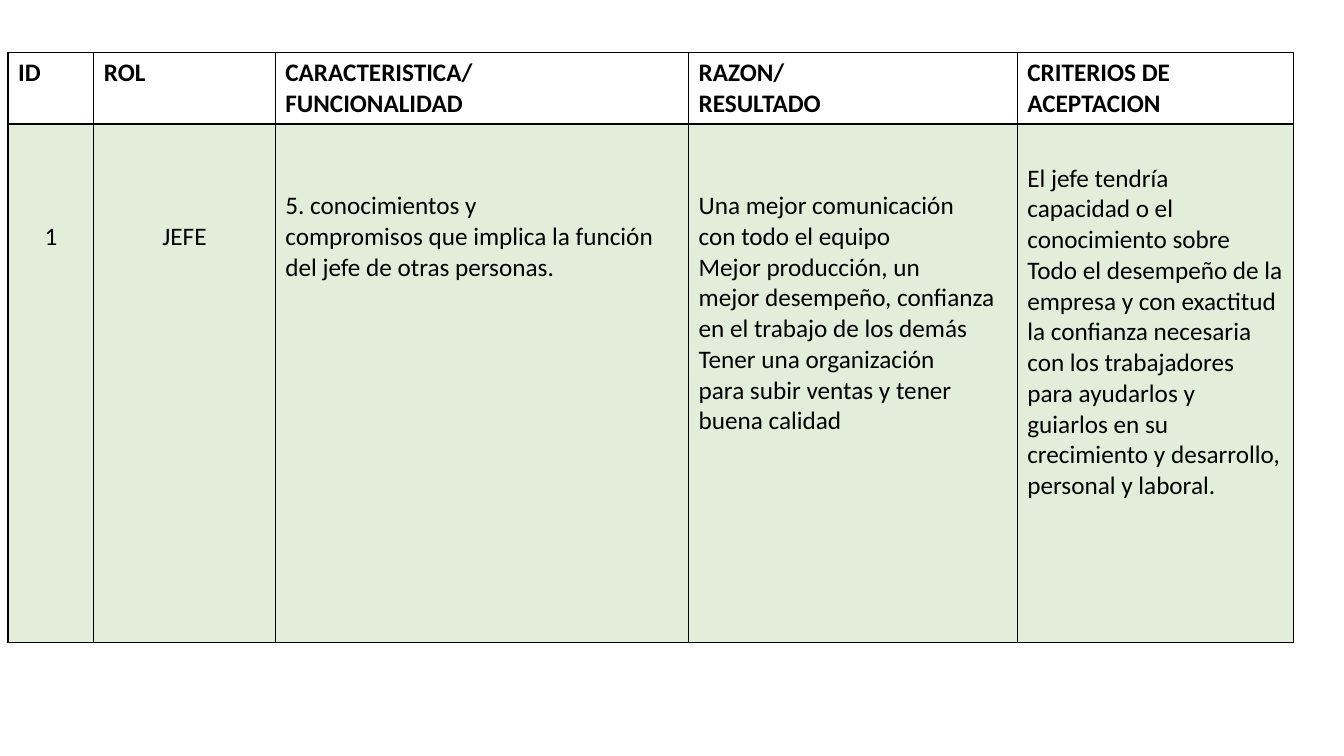
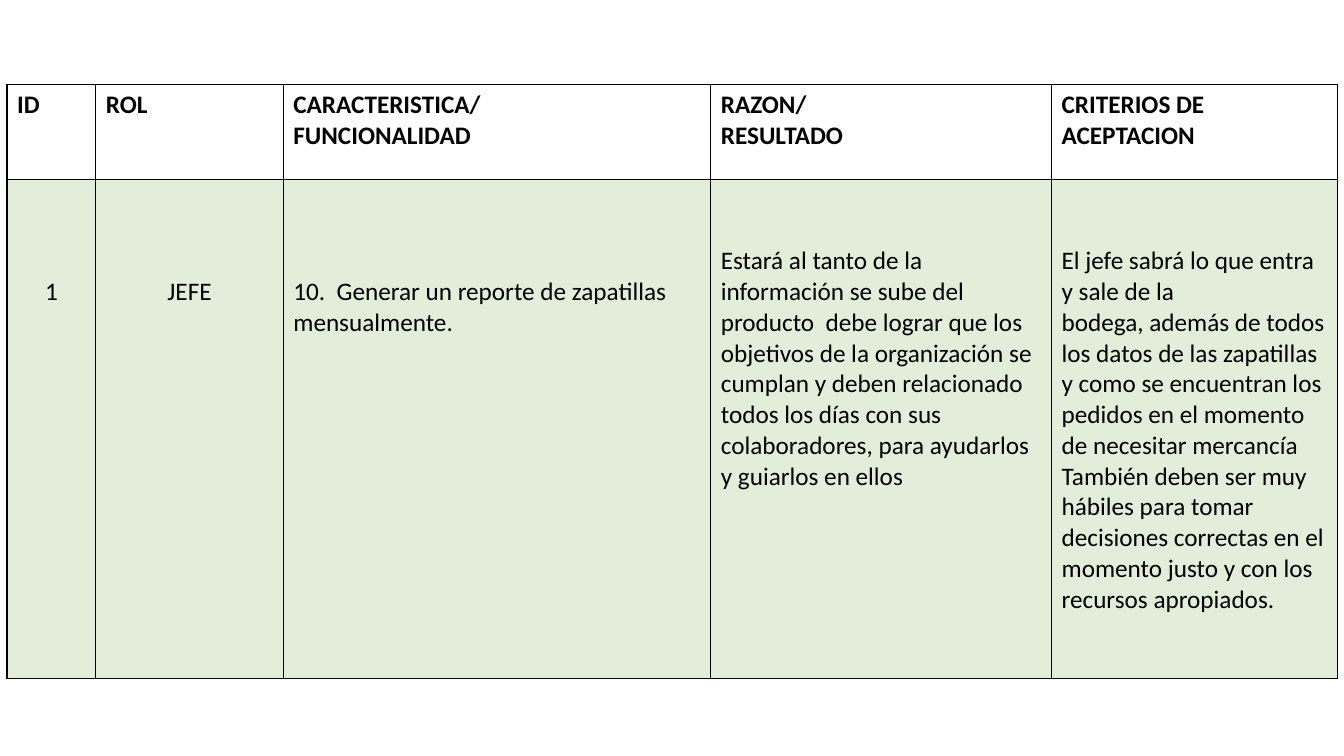
from pptx import Presentation
from pptx.dml.color import RGBColor
from pptx.enum.text import PP_ALIGN
from pptx.oxml.ns import qn
from pptx.util import Inches, Pt
from lxml.etree import SubElement

COLORS = {"ink": "000000", "green": "70AD47"}
FONT = "Calibri"
SIZE = 18
LINE = 0.305  # height of one text line, inches
PAD = 0.05
TINT = 20  # opacity of the body cells, percent
BLANK = 6
TIE = "~"  # stands for a space at which no line may break
HARD = chr(160)

HEADS = [
    ["ID"],
    ["ROL"],
    ["CARACTERISTICA/", "FUNCIONALIDAD"],
    ["RAZON/", "RESULTADO"],
    ["CRITERIOS DE ACEPTACION"],
]

# Each body cell: lines of space above the text, then its paragraphs
ROLE = [(3, ["1"]), (3, ["JEFE"])]
STORIES = [
    {
        "left": 0.08, "top": 0.52,
        "cols": [0.85, 1.8, 4.1, 3.26, 2.74],
        "rows": [0.69, 5.14],
        "body": ROLE + [
            (2, ["5. conocimientos y compromisos~que~implica la función "
                 "del jefe de~otras~personas."]),
            (2, ["Una mejor comunicación con~todo el equipo",
                 "Mejor producción, un mejor~desempeño, confianza en "
                 "el~trabajo de los demás",
                 "Tener una organización para~subir ventas y tener "
                 "buena~calidad"]),
            (1.11, ["El jefe tendría capacidad~o el conocimiento sobre",
                    "Todo el desempeño de~la empresa y con~exactitud "
                    "la confianza~necesaria con los~trabajadores",
                    "para ayudarlos y guiarlos~en su crecimiento "
                    "y~desarrollo, personal y~laboral."]),
        ],
    },
    {
        "left": 0.07, "top": 0.84,
        "cols": [0.88, 1.86, 4.24, 3.38, 2.84],
        "rows": [0.94, 4.95],
        "body": ROLE + [
            (3, ["10.~ Generar un reporte de zapatillas mensualmente."]),
            (2, ["Estará al tanto de la información se sube del "
                 "producto~~debe lograr que los objetivos de la "
                 "organización se cumplan y deben relacionado todos los "
                 "días con sus colaboradores, para ayudarlos y guiarlos "
                 "en ellos"]),
            (2, ["El jefe sabrá~lo que entra y sale de la "
                 "bodega,~además de todos los datos de las zapatillas y "
                 "como se encuentran los pedidos en el momento de "
                 "necesitar mercancía",
                 "También deben ser muy hábiles para tomar decisiones "
                 "correctas en el momento justo y con los recursos "
                 "apropiados."]),
        ],
    },
]


def add_edges(cell):
    props = cell._tc.get_or_add_tcPr()
    for side in ("a:lnL", "a:lnR", "a:lnT", "a:lnB"):
        edge = SubElement(props, qn(side), w=str(Pt(1)))
        fill = SubElement(edge, qn("a:solidFill"))
        SubElement(fill, qn("a:srgbClr"), val=COLORS["ink"])


def tint_cell(cell):
    cell.fill.solid()
    cell.fill.fore_color.rgb = RGBColor.from_string(COLORS["green"])
    fill = cell._tc.tcPr.find(qn("a:solidFill"))
    SubElement(fill[0], qn("a:alpha"), val=str(TINT * 1000))


def write_cell(cell, texts, bold=False, align=PP_ALIGN.LEFT, gap=0):
    """Fill a cell with paragraphs, leaving gap lines free above them."""
    cell.margin_top = Inches(PAD + gap * LINE)
    frame = cell.text_frame
    for i, text in enumerate(texts):
        para = frame.add_paragraph() if i else frame.paragraphs[0]
        para.alignment = align
        run = para.add_run()
        run.text = text.replace(TIE, HARD)
        font = run.font
        font.name, font.size, font.bold = FONT, Pt(SIZE), bold
        font.color.rgb = RGBColor.from_string(COLORS["ink"])


def add_story(slide, story):
    cols, rows = story["cols"], story["rows"]
    table = slide.shapes.add_table(
        len(rows), len(cols), Inches(story["left"]), Inches(story["top"]),
        Inches(sum(cols)), Inches(sum(rows))).table
    table.first_row = table.horz_banding = False
    for row, height in zip(table.rows, rows):
        row.height = Inches(height)
    for i, (width, head, (gap, texts)) in enumerate(
            zip(cols, HEADS, story["body"])):
        table.columns[i].width = Inches(width)
        top, low = table.cell(0, i), table.cell(1, i)
        for cell in (top, low):
            add_edges(cell)
        top.fill.background()
        tint_cell(low)
        write_cell(top, head, bold=True)
        align = PP_ALIGN.CENTER if i < len(ROLE) else PP_ALIGN.LEFT
        write_cell(low, texts, align=align, gap=gap)


def main():
    deck = Presentation()
    deck.slide_width, deck.slide_height = Inches(13.33), Inches(7.5)
    for story in STORIES:
        add_story(deck.slides.add_slide(deck.slide_layouts[BLANK]), story)
    deck.save("out.pptx")


if __name__ == "__main__":
    main()
